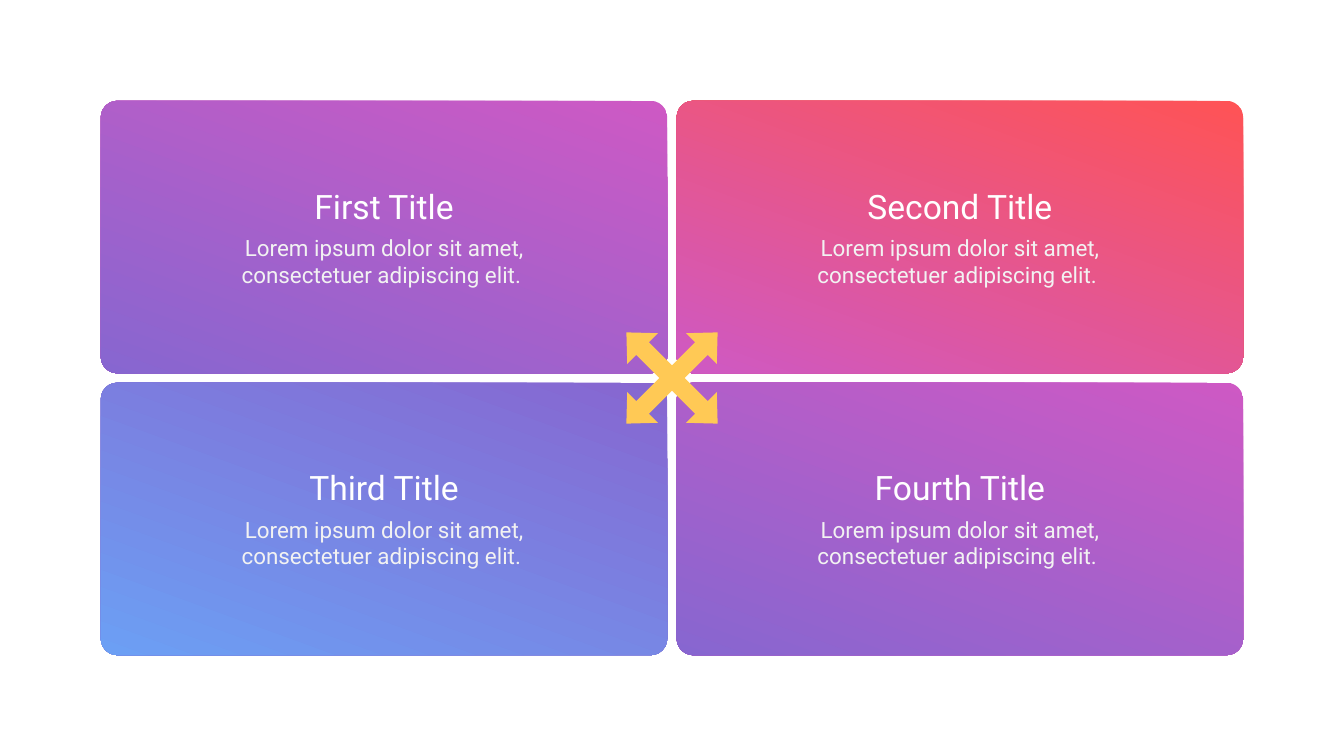
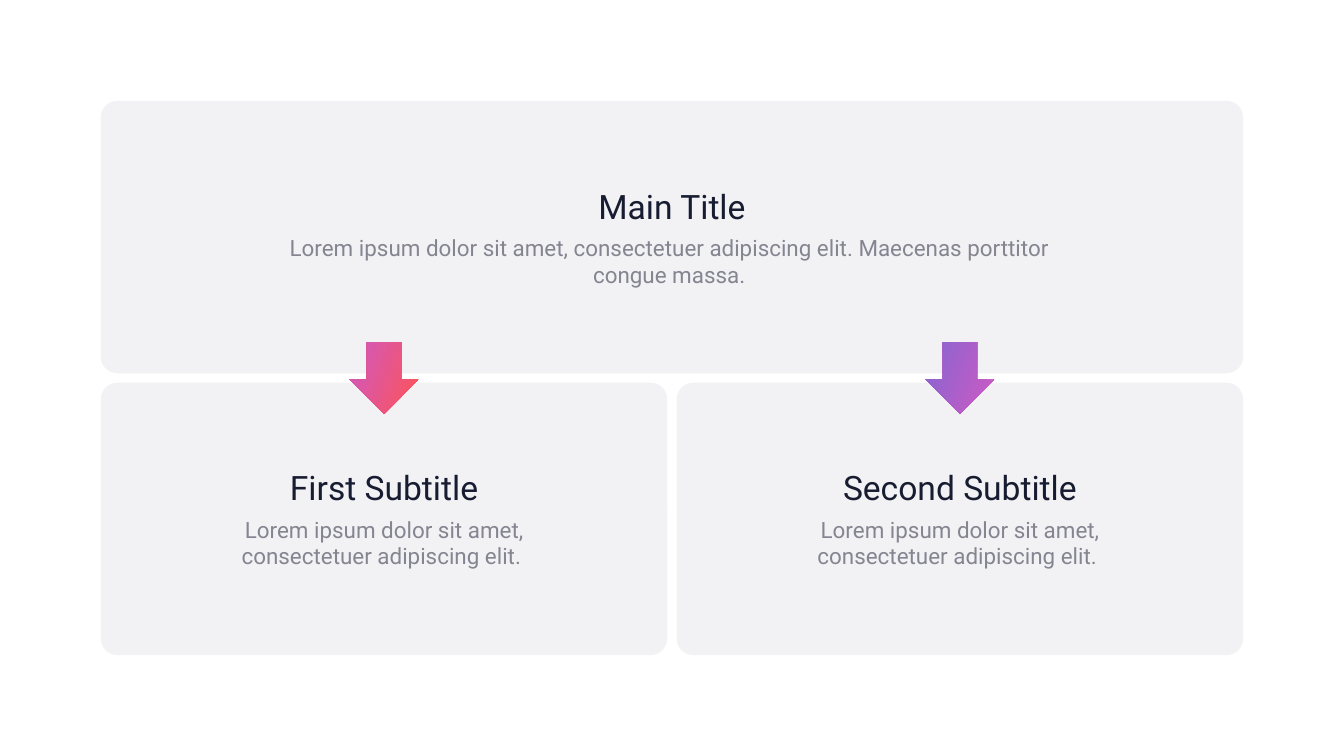
from dataclasses import dataclass

from pptx import Presentation
from pptx.dml.color import RGBColor
from pptx.enum.shapes import MSO_SHAPE as Kind
from pptx.enum.text import MSO_ANCHOR as Anchor, MSO_AUTO_SIZE as Fit, PP_ALIGN as Align
from pptx.util import Inches, Pt

# Shared style
FONT = "Roboto"
WHITE, PALE, INK, GREY = "FFFFFF", "F2F2F2", "171C30", "858591"
PANEL, GOLD = "F2F2F5", "FFC955"
WARM = ("FF5355", "CE59C4")
PLUM = ("CE59C4", "8766D0")
COOL = ("8766D0", "6C9FF4")
SLOPE = 250  # counter-clockwise degrees

# Shared grid
WIDE, HIGH = 20, 11.25
EDGE, GAP = 1.5, 0.14
TILE_W = (WIDE - 2 * EDGE - GAP) / 2
TILE_H = (HIGH - 2 * EDGE - GAP) / 2
MID_X, MID_Y = WIDE / 2, HIGH / 2
HEAD_DY, HEAD_H = 1.21, 0.71
BODY_DY, BODY_H = 1.93, 0.91

LOREM = "Lorem ipsum dolor sit amet, consectetuer adipiscing elit. "


@dataclass
class Tile:
    col: int
    row: int
    head: str
    fill: str | tuple
    body: tuple = (LOREM,)
    span: int = 1
    text_w: float = 4.58
    main: bool = False

    @property
    def left(self) -> float:
        return EDGE + self.col * (TILE_W + GAP)

    @property
    def top(self) -> float:
        return EDGE + self.row * (TILE_H + GAP)

    @property
    def width(self) -> float:
        return self.span * TILE_W + (self.span - 1) * GAP

    @property
    def mid(self) -> float:
        return self.left + self.width / 2


GRID = [
    Tile(0, 0, "First Title", PLUM),
    Tile(1, 0, "Second Title", WARM),
    Tile(0, 1, "Third Title", COOL),
    Tile(1, 1, "Fourth Title", PLUM),
]
TREE = [
    Tile(0, 0, "Main Title", PANEL, (LOREM + "Maecenas porttitor ", "congue massa. "),
         span=2, text_w=13.27, main=True),
    Tile(0, 1, "First Subtitle", PANEL),
    Tile(1, 1, "Second Subtitle", PANEL),
]


def rgb(code: str) -> RGBColor:
    return RGBColor.from_string(code)


def paint(shape, fill: str | tuple) -> None:
    """Fill with one colour, or with a gradient when given a pair."""
    if isinstance(fill, str):
        shape.fill.solid()
        shape.fill.fore_color.rgb = rgb(fill)
        return
    shape.fill.gradient()
    shape.fill.gradient_angle = SLOPE
    for stop, code, pos in zip(shape.fill.gradient_stops, fill, (0, 1)):
        stop.color.rgb = rgb(code)
        stop.position = pos


def draw(slide, kind, left: float, top: float, width: float, height: float,
         fill: str | tuple, turn: float = 0, adjust: tuple = ()) -> None:
    shape = slide.shapes.add_shape(
        kind, Inches(left), Inches(top), Inches(width), Inches(height))
    shape.shadow.inherit = False
    shape.line.fill.background()
    shape.rotation = turn
    for i, value in enumerate(adjust):
        shape.adjustments[i] = value
    paint(shape, fill)


def write(box, mid: float, top: float, width: float, height: float,
          lines: tuple, size: int, color: str) -> None:
    box.left, box.top = Inches(mid - width / 2), Inches(top)
    box.width, box.height = Inches(width), Inches(height)
    frame = box.text_frame
    frame.word_wrap = True
    frame.auto_size = Fit.SHAPE_TO_FIT_TEXT
    frame.vertical_anchor = Anchor.TOP
    frame.text = "\n".join(lines)
    for par in frame.paragraphs:
        par.alignment = Align.CENTER
        par.font.name, par.font.size = FONT, Pt(size)
        par.font.color.rgb = rgb(color)


def add_tile(slide, tile: Tile, head: str, body: str) -> None:
    draw(slide, Kind.ROUNDED_RECTANGLE, tile.left, tile.top, tile.width, TILE_H,
         tile.fill, adjust=(0.061,))
    new = slide.shapes.add_textbox
    if tile.main:
        # Bring the title in front of its panel
        box = slide.shapes.title
        box.element.getparent().append(box.element)
    else:
        box = new(0, 0, 0, 0)
    write(box, tile.mid, tile.top + HEAD_DY, tile.text_w, HEAD_H, (tile.head,), 36, head)
    write(new(0, 0, 0, 0), tile.mid, tile.top + BODY_DY, tile.text_w, BODY_H,
          tile.body, 24, body)


def add_grid(deck) -> None:
    slide = deck.slides.add_slide(deck.slide_layouts[6])
    for tile in GRID:
        add_tile(slide, tile, WHITE, PALE)
    # Four-way arrow at the crossing
    side = 1.92
    draw(slide, Kind.QUAD_ARROW, MID_X - side / 2, MID_Y - side / 2, side, side,
         GOLD, 45, (0.139, 0.168, 0.177))


def add_tree(deck) -> None:
    slide = deck.slides.add_slide(deck.slide_layouts[5])
    for tile in TREE:
        add_tile(slide, tile, INK, GREY)
    # Arrows from the main panel to each lower one
    long, broad = 1.07, 1.02
    for tile, fill in zip(TREE[1:], (WARM, PLUM)):
        draw(slide, Kind.RIGHT_ARROW, tile.mid - long / 2, MID_Y - broad / 2,
             long, broad, fill, 90)


def main() -> None:
    deck = Presentation()
    deck.slide_width, deck.slide_height = Inches(WIDE), Inches(HIGH)
    add_grid(deck)
    add_tree(deck)
    deck.save("out.pptx")


if __name__ == "__main__":
    main()
